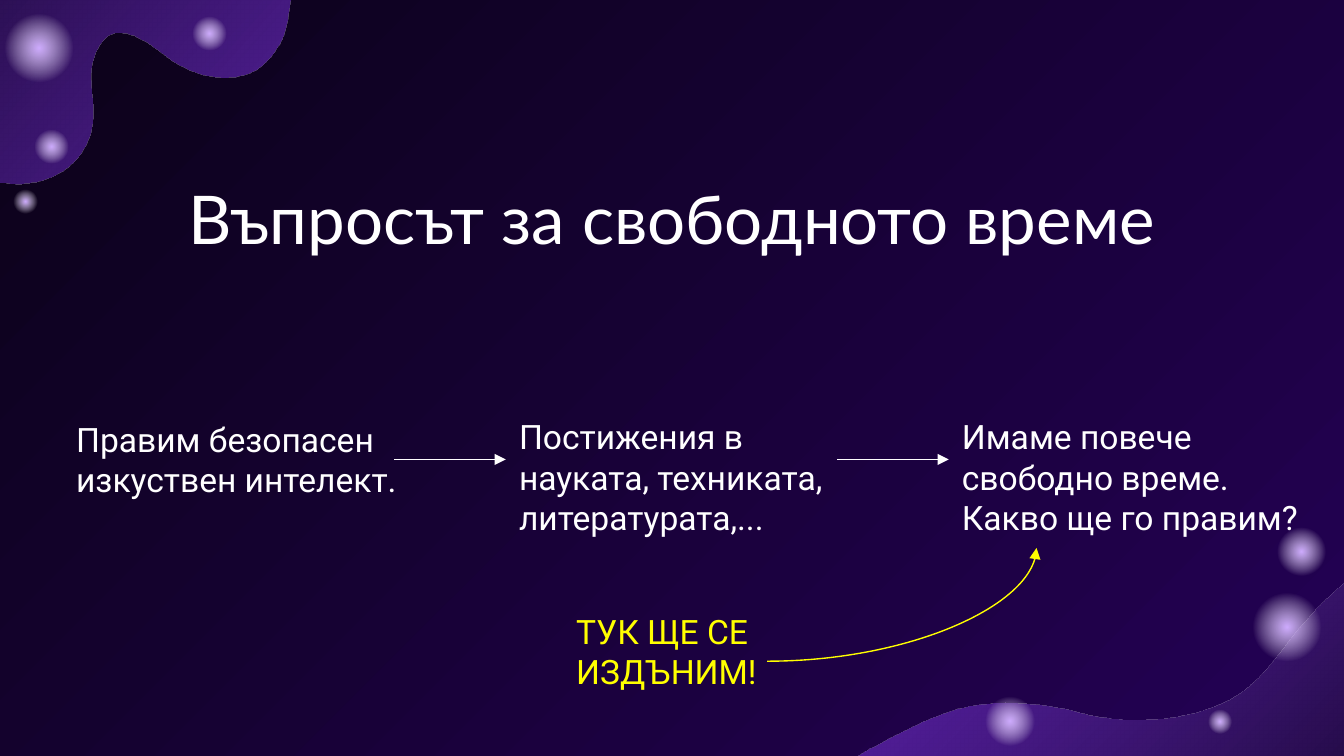
from lxml.etree import SubElement
from pptx import Presentation
from pptx.dml.color import RGBColor
from pptx.enum.shapes import MSO_CONNECTOR, MSO_SHAPE
from pptx.enum.text import MSO_ANCHOR, PP_ALIGN
from pptx.oxml import parse_xml
from pptx.oxml.ns import nsdecls, qn
from pptx.util import Cm, Pt

NIGHT = RGBColor(0x0B, 0x02, 0x18)
INDIGO = RGBColor(0x24, 0x01, 0x55)
VIOLET = RGBColor(0x81, 0x34, 0xEC)
LILAC = RGBColor(0xCE, 0xAB, 0xFF)
WHITE = RGBColor(0xFF, 0xFF, 0xFF)
YELLOW = RGBColor(0xFF, 0xFF, 0x00)

CURVE_STEPS = 12
INSET = Cm(0.25)
STEP_WIDTH, STEP_HEIGHT = 7.09, 2.13

# Each wave is a start point and then Bezier pieces: two handles and an end.
TOP_WAVE = [
    (0.53, 8.41),
    (0.61, 8.13), (0.97, 7.77), (1.17, 7.59),
    (1.35, 7.47), (1.57, 7.32), (1.78, 7.26),
    (2.11, 7.19), (2.44, 7.24), (2.77, 7.29),
    (3.02, 7.34), (3.25, 7.37), (3.48, 7.37),
    (4.06, 7.34), (4.55, 7.04), (4.75, 6.5),
    (4.98, 5.94), (4.6, 5.33), (4.93, 4.78),
    (5.28, 4.17), (5.92, 4.75), (6.3, 5.03),
    (6.73, 5.33), (7.44, 5.51), (7.92, 5.21),
    (8.15, 5.05), (8.33, 4.8), (8.43, 4.55),
    (8.53, 4.24), (8.53, 3.94), (8.61, 3.66),
    (8.69, 3.4), (8.86, 3.07), (9.12, 2.95),
    (9.4, 2.82), (9.7, 2.79), (10.01, 2.74),
    (11.2, 2.49), (12.32, 1.7), (12.75, 0.53),
]
TOP_CORNERS = [(12.83, 0), (0, 0.58)]
BOTTOM_WAVE = [
    (14.35, 0),
    (13.59, 0), (12.75, 0.3), (12.16, 0.58),
    (11.4, 0.96), (10.97, 1.42), (10.46, 2),
    (10.05, 2.51), (9.72, 3.07), (9.06, 3.37),
    (8.38, 3.7), (7.31, 3.78), (6.52, 3.6),
    (5.69, 3.37), (4.67, 3.25), (3.83, 3.55),
    (2.97, 3.88), (2.18, 4.36), (1.42, 4.8),
    (0.91, 5.1), (0.43, 5.41), (0, 5.76),
]
BOTTOM_CORNERS = [(14.88, 5.76), (14.91, 0.07)]

# Glows: centre x, centre y, diameter
TOP_GLOWS = [(4.04, 6.68, 0.79), (3.55, 7.72, 0.56), (7.03, 4.55, 0.79), (3.81, 4.82, 1.6)]
BOTTOM_GLOWS = [(10.28, 1.95, 1.6), (10.55, 0.52, 1.14), (5.04, 3.72, 1.14), (9.01, 3.73, 0.56)]


def sample_wave(wave):
    """Return points along the chain of cubic Bezier pieces."""
    points = [wave[0]]
    for i in range(0, len(wave) - 1, 3):
        piece = wave[i:i + 4]
        for step in range(1, CURVE_STEPS + 1):
            t = step / CURVE_STEPS
            weights = ((1 - t) ** 3, 3 * t * (1 - t) ** 2, 3 * t * t * (1 - t), t ** 3)
            points.append(tuple(sum(w * p[axis] for w, p in zip(weights, piece))
                                for axis in (0, 1)))
    return points


def paint_gradient(shape, stops, direction):
    """Fill with (percent, colour, opacity percent) stops; direction is its XML."""
    shape.shadow.inherit = False
    shape.line.fill.background()
    shape.fill.gradient()
    stop_xml = "".join(
        f'<a:gs pos="{place * 1000}"><a:srgbClr val="{colour}">'
        f'<a:alpha val="{opacity * 1000}"/></a:srgbClr></a:gs>'
        for place, colour, opacity in stops)
    gradient = parse_xml(f'<a:gradFill {nsdecls("a")} rotWithShape="1">'
                         f'<a:gsLst>{stop_xml}</a:gsLst>{direction}</a:gradFill>')
    properties = shape._element.spPr
    properties.replace(properties.find(qn("a:gradFill")), gradient)


def add_corner(page, left, top, wave, corners, glows, angle):
    points = [(Cm(left + x), Cm(top + y)) for x, y in sample_wave(wave) + corners]
    builder = page.shapes.build_freeform(*points[0])
    builder.add_line_segments(points[1:], close=True)
    paint_gradient(builder.convert_to_shape(),
                   [(0, NIGHT, 100), (100, VIOLET, 70)],
                   f'<a:lin ang="{angle * 60000}" scaled="0"/>')
    for x, y, size in glows:
        glow = page.shapes.add_shape(MSO_SHAPE.OVAL, Cm(left + x - size / 2),
                                     Cm(top + y - size / 2), Cm(size), Cm(size))
        paint_gradient(glow, [(0, LILAC, 100), (57, WHITE, 0), (100, WHITE, 0)],
                       '<a:path path="circle"><a:fillToRect l="50000" t="50000" '
                       'r="50000" b="50000"/></a:path>')


def add_text(page, left, top, width, height, lines, colour=WHITE, font="Roboto", size=18):
    box = page.shapes.add_textbox(Cm(left), Cm(top), Cm(width), Cm(height))
    frame = box.text_frame
    frame.word_wrap = True
    frame.margin_left = frame.margin_right = INSET
    frame.margin_top = frame.margin_bottom = INSET
    for i, line in enumerate(lines):
        para = frame.add_paragraph() if i else frame.paragraphs[0]
        span = para.add_run()
        span.text = line
        span.font.name = font
        span.font.size = Pt(size)
        span.font.color.rgb = colour
    return box


def add_title(page, left, top, width, height):
    box = add_text(page, left, top, width, height,
                   ["Въпросът за свободното време"], font="Lato", size=36)
    box.text_frame.vertical_anchor = MSO_ANCHOR.BOTTOM
    box.text_frame.paragraphs[0].alignment = PP_ALIGN.CENTER


def add_arrow(page, kind, start, end, colour):
    arrow = page.shapes.add_connector(kind, Cm(start[0]), Cm(start[1]), Cm(end[0]), Cm(end[1]))
    arrow.line.color.rgb = colour
    arrow.line.width = Pt(0.75)
    SubElement(arrow.line._get_or_add_ln(), qn("a:tailEnd"), type="triangle")
    SubElement(arrow._element.spPr, qn("a:effectLst"))
    return arrow


def add_steps(page, left, top):
    """Place the three steps, with an arrow into each one after the first."""
    pitch = 8.37
    add_text(page, left, top + 0.05, STEP_WIDTH, STEP_HEIGHT,
             ["Правим безопасен", "изкуствен интелект."])
    later_steps = ["Постижения в науката, техниката, литературата,...",
                   "Имаме повече свободно време. Какво ще го правим?"]
    for i, words in enumerate(later_steps, start=1):
        x, middle = left + i * pitch, top + STEP_HEIGHT / 2
        step = add_text(page, x, top, STEP_WIDTH, STEP_HEIGHT, [words])
        arrow = add_arrow(page, MSO_CONNECTOR.STRAIGHT, (x - 2.11, middle), (x, middle), WHITE)
        arrow.end_connect(step, 1)


def add_warning(page, left, top):
    add_text(page, left, top, STEP_WIDTH, STEP_HEIGHT, ["ТУК ЩЕ СЕ ИЗДЪНИМ!"], YELLOW)
    arrow = add_arrow(page, MSO_CONNECTOR.CURVE, (left + 3.86, top + 1.2),
                      (left + 8.95, top - 0.94), YELLOW)
    arrow._element.spPr.find(qn("a:prstGeom")).set("prst", "curvedConnector2")


def paint_background(page):
    fill = page.background.fill
    fill.gradient()
    fill.gradient_angle = 315
    for stop, colour in zip(fill.gradient_stops, (NIGHT, INDIGO)):
        stop.color.rgb = colour


def main():
    deck = Presentation()
    deck.slide_width, deck.slide_height = Cm(25.4), Cm(14.29)
    page = deck.slides.add_slide(deck.slide_layouts[6])
    paint_background(page)
    add_corner(page, 14.05, 9.91, BOTTOM_WAVE, BOTTOM_CORNERS, BOTTOM_GLOWS, 225)
    add_corner(page, -3.07, -3.91, TOP_WAVE, TOP_CORNERS, TOP_GLOWS, 42)
    add_title(page, 1.19, 4.01, 23.01, 1.12)
    add_steps(page, 1.19, 7.62)
    add_warning(page, 10.64, 11.3)
    deck.save("out.pptx")


if __name__ == "__main__":
    main()
